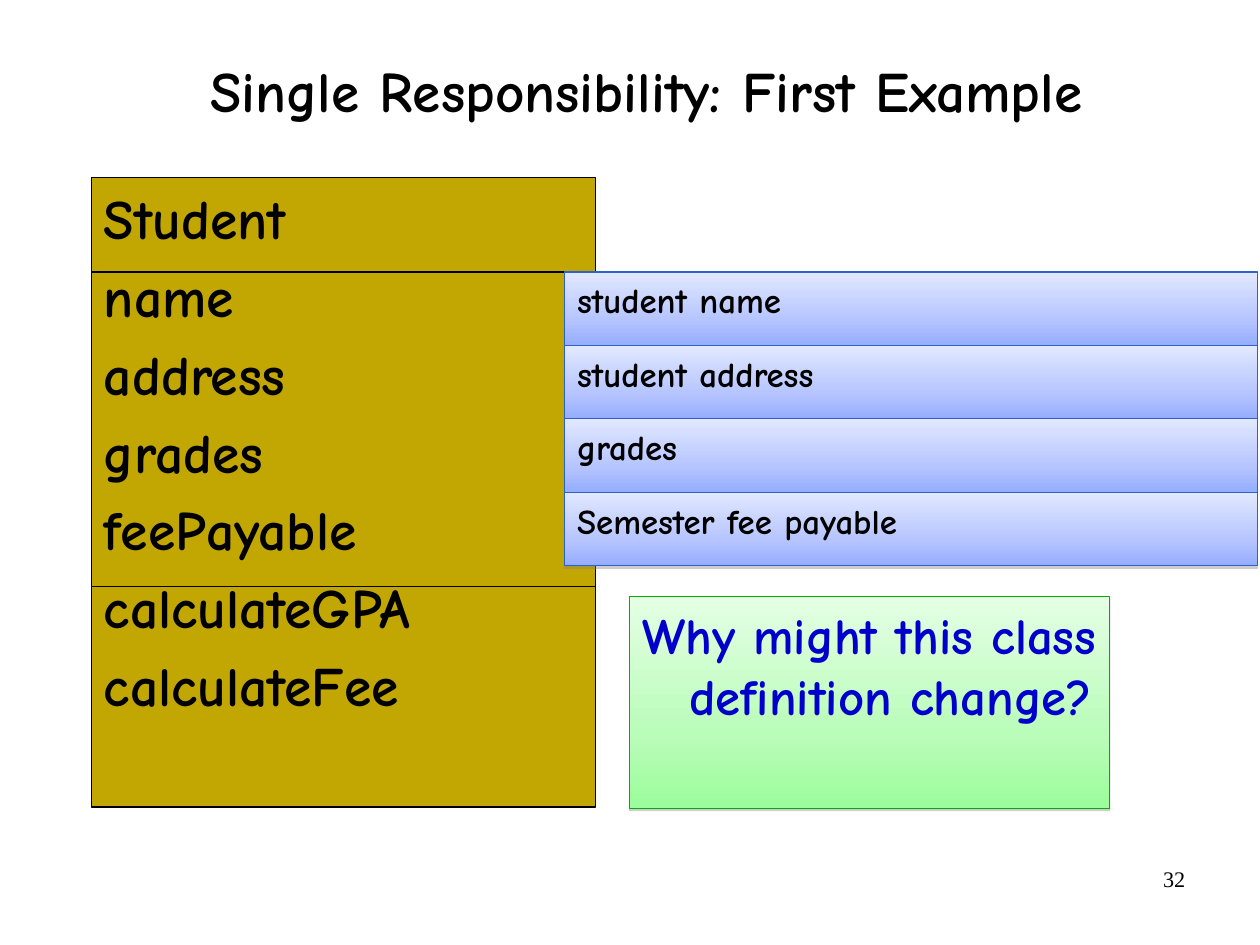
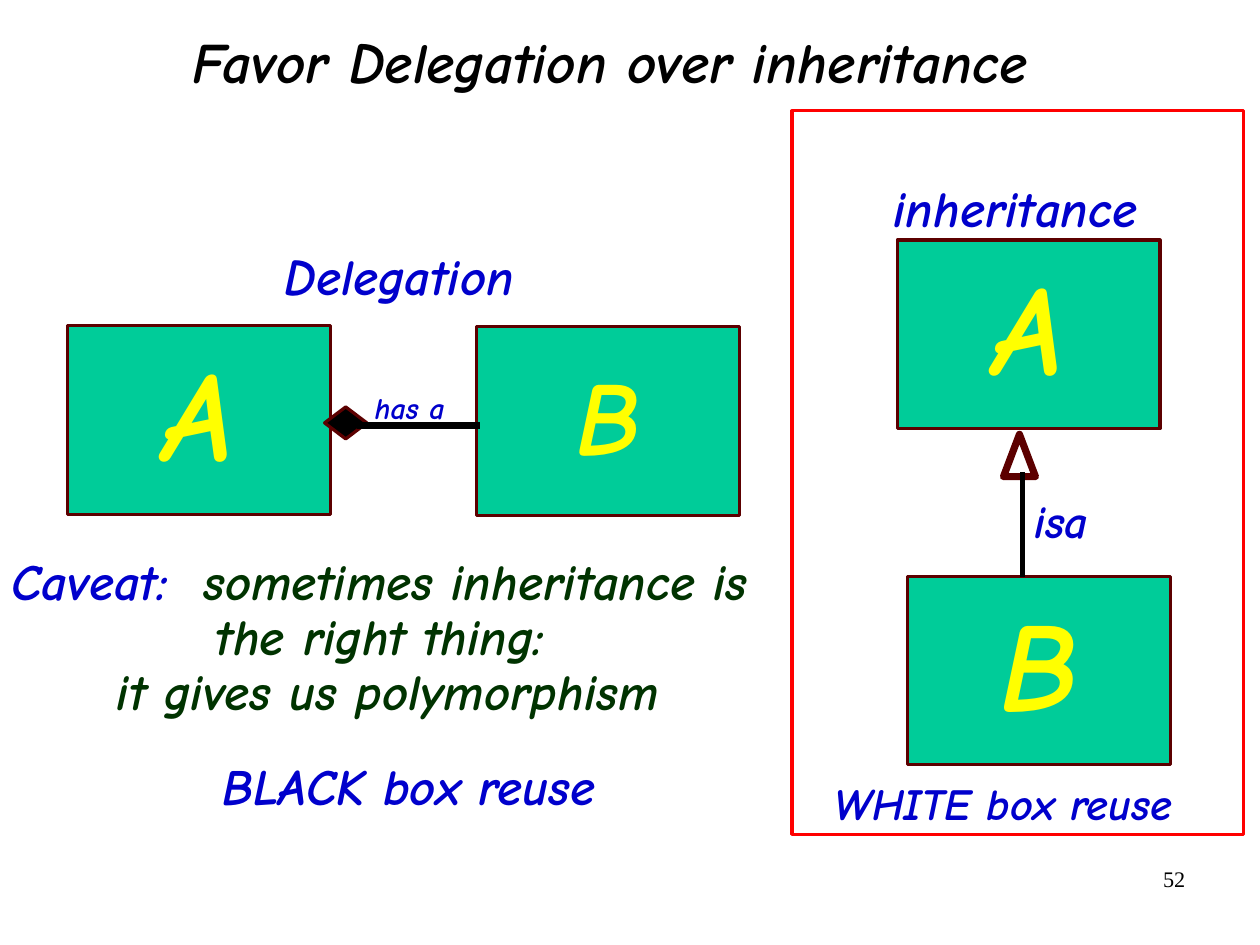
import copy
from dataclasses import dataclass, replace

import pptx
import pptx.dml.color
import pptx.enum.shapes
import pptx.enum.text
import pptx.oxml
import pptx.oxml.ns
import pptx.util

Inches = pptx.util.Inches
Pt = pptx.util.Pt
SHAPE = pptx.enum.shapes.MSO_SHAPE
ALIGN = pptx.enum.text.PP_ALIGN
ANCHOR = pptx.enum.text.MSO_ANCHOR

BLACK, WHITE = "000000", "FFFFFF"
BLUE, DARK_GREEN, YELLOW = "0000CC", "003300", "FFFF00"
GOLD, TEAL, MAROON, RED = "C2A702", "00CC99", "5C0000", "FF0000"
HANGING = 0.41


@dataclass(frozen=True)
class Box:
    left: float
    top: float
    width: float
    height: float


@dataclass(frozen=True)
class Style:
    size: float
    color: str = BLACK
    bold: bool = True
    italic: bool = False
    font: str = "Comic Neue"
    align: ALIGN = ALIGN.CENTER
    anchor: ANCHOR = ANCHOR.TOP
    spacing: float = 0.9
    before: float = 0
    hanging: bool = False
    wrap: bool = False
    side: float = 0.11


@dataclass(frozen=True)
class Gradient:
    stops: tuple[tuple[float, str], ...]
    line: str


@dataclass(frozen=True)
class Run:
    text: str
    color: str


@dataclass(frozen=True)
class Label:
    text: str
    box: Box
    size: float


GREEN_FADE = Gradient(((0, "E4FFE4"), (0.65, "BAFCBA"), (1, "9BFD9B")), "00B000")
BLUE_FADE = Gradient(((0, "E1E8FF"), (0.65, "B6C5FF"), (1, "95ADFF")), "2E62CB")

TITLE = Style(36, anchor=ANCHOR.MIDDLE)
NUMBER = Style(14, bold=False, font="Times New Roman", align=ALIGN.RIGHT,
               spacing=1, wrap=True, side=0.1)
LISTING = Style(35, align=ALIGN.LEFT, spacing=1, before=7, hanging=True, wrap=True)
NOTE = Style(32, BLUE, italic=True)
LETTER = Style(80, YELLOW, italic=True, anchor=ANCHOR.MIDDLE, wrap=True)


def rgb(color: str) -> pptx.dml.color.RGBColor:
    return pptx.dml.color.RGBColor.from_string(color)


def place(box: Box) -> list[int]:
    return [Inches(v) for v in (box.left, box.top, box.width, box.height)]


def indent(p, left: float, first: float = 0) -> None:
    pPr = p._p.get_or_add_pPr()
    pPr.set("marL", str(Inches(left)))
    pPr.set("indent", str(Inches(first)))


def write(sp, paragraphs: list[list[Run]], style: Style) -> None:
    tf = sp.text_frame
    tf.word_wrap = style.wrap
    tf.vertical_anchor = style.anchor
    tf.margin_left = tf.margin_right = Inches(style.side)
    tf.margin_top = tf.margin_bottom = Inches(0.06)
    for i, runs in enumerate(paragraphs):
        p = tf.add_paragraph() if i else tf.paragraphs[0]
        p.alignment = style.align
        p.line_spacing = style.spacing
        if i and style.before:
            p.space_before = Pt(style.before)
        if style.hanging:
            indent(p, HANGING, -HANGING)
        for run in runs:
            r = p.add_run()
            r.text = run.text
            r.font.name = style.font
            r.font.size = Pt(style.size)
            r.font.bold = style.bold
            r.font.italic = style.italic
            r.font.color.rgb = rgb(run.color)


def write_lines(sp, lines: list[str], style: Style) -> None:
    write(sp, [[Run(line, style.color)] for line in lines], style)


def add_text(s, text: str, box: Box, style: Style) -> None:
    write_lines(s.shapes.add_textbox(*place(box)), [text], style)


def add_box(s, box: Box, fill: str | None, line: str, width: float,
            kind: SHAPE = SHAPE.RECTANGLE):
    sp = s.shapes.add_shape(kind, *place(box))
    sp.shadow.inherit = False
    if fill:
        sp.fill.solid()
        sp.fill.fore_color.rgb = rgb(fill)
    else:
        sp.fill.background()
    sp.line.color.rgb = rgb(line)
    sp.line.width = Pt(width)
    return sp


def add_faded_box(s, box: Box, fade: Gradient, text: str, style: Style) -> None:
    sp = add_box(s, box, None, fade.line, 0.75)
    sp.fill.gradient()
    sp.fill.gradient_angle = 270
    spPr = sp._element.spPr
    stops = spPr.find(".//" + pptx.oxml.ns.qn("a:gsLst"))
    stops.append(copy.deepcopy(stops[-1]))
    for stop, (position, color) in zip(sp.fill.gradient_stops, fade.stops):
        stop.position = position
        stop.color.rgb = rgb(color)
    # Thin drop shadow below the box
    spPr.find(pptx.oxml.ns.qn("a:effectLst")).append(pptx.oxml.parse_xml(
        f'<a:outerShdw {pptx.oxml.ns.nsdecls("a")} blurRad="0" dist="{Pt(1.6)}" '
        'dir="5400000" rotWithShape="0"><a:srgbClr val="808080">'
        '<a:alpha val="38000"/></a:srgbClr></a:outerShdw>'))
    write_lines(sp, [text], style)


def add_line(s, x1: float, y1: float, x2: float, y2: float, width: float) -> None:
    c = s.shapes.add_connector(pptx.enum.shapes.MSO_CONNECTOR.STRAIGHT,
                               *[Inches(v) for v in (x1, y1, x2, y2)])
    c.line.color.rgb = rgb(BLACK)
    c.line.width = Pt(width)
    c._element.spPr.append(pptx.oxml.parse_xml(
        f'<a:effectLst {pptx.oxml.ns.nsdecls("a")}/>'))


def new_slide(prs, title: str, title_box: Box, number: str, italic: bool = False):
    s = prs.slides.add_slide(prs.slide_layouts[6])
    add_text(s, title, title_box, replace(TITLE, italic=italic))
    add_text(s, number, Box(7.9, 7.51, 2.57, 0.57), NUMBER)
    return s


def build_responsibility(prs) -> None:
    s = new_slide(prs, "Single Responsibility: First Example",
                  Box(0.61, 0.27, 10.09, 1.1), "32")

    # Class box with its two dividers
    card = Box(0.8, 1.55, 4.41, 5.51)
    write_lines(add_box(s, card, GOLD, BLACK, 0.75),
                ["Student", "name", "address", "grades", "feePayable",
                 "calculateGPA", "calculateFee"], LISTING)
    for y in (2.38, 5.13):
        add_line(s, card.left, y, card.left + card.width, y, 0.75)

    # Question
    add_faded_box(s, Box(5.51, 5.22, 4.2, 1.85), GREEN_FADE,
                  "Why might this class definition change?",
                  replace(LISTING, size=32, color=BLUE))

    # Field descriptions
    fields = ["student name", "student address", "grades", "Semester fee payable"]
    height = 2.57 / len(fields)
    for i, field in enumerate(fields):
        add_faded_box(s, Box(4.94, 2.38 + i * height, 6.06, height), BLUE_FADE,
                      field, replace(LISTING, size=22))


def build_delegation(prs) -> None:
    s = new_slide(prs, "Favor Delegation over inheritance",
                  Box(1.1, 0.24, 8.47, 0.66), "52", italic=True)

    # Class boxes
    for letter, left, top, size in (("A", 0.59, 2.85, 80), ("B", 4.17, 2.86, 66),
                                    ("A", 7.85, 2.1, 80), ("B", 7.94, 5.04, 80)):
        sp = add_box(s, Box(left, top, 2.3, 1.65), TEAL, MAROON, 2)
        write_lines(sp, [letter], replace(LETTER, size=size))

    # Has-a and is-a links
    add_box(s, Box(2.84, 3.56, 0.37, 0.28), BLACK, MAROON, 2, SHAPE.DIAMOND)
    add_line(s, 3.12, 3.72, 4.2, 3.72, 4.5)
    add_box(s, Box(8.78, 3.8, 0.28, 0.37), WHITE, MAROON, 4.5,
            SHAPE.ISOSCELES_TRIANGLE)
    add_line(s, 8.95, 4.13, 8.95, 5.05, 3)

    # Labels
    for label in (Label("inheritance", Box(7.59, 1.55, 2.59, 0.59), 32),
                  Label("Delegation", Box(2.26, 2.14, 2.47, 0.6), 32),
                  Label("has a", Box(3.13, 3.38, 0.91, 0.4), 19),
                  Label("isa", Box(8.91, 4.3, 0.75, 0.55), 29),
                  Label("BLACK box reuse", Box(1.6, 6.6, 3.96, 0.6), 32),
                  Label("WHITE box reuse", Box(6.93, 6.78, 3.7, 0.53), 28)):
        add_text(s, label.text, label.box, replace(NOTE, size=label.size))

    # Frame around the inheritance side
    add_box(s, Box(6.93, 0.97, 3.95, 6.33), None, RED, 2)

    # Caveat, its last line set slightly to the right
    sp = s.shapes.add_textbox(*place(Box(0, 4.81, 6.65, 1.55)))
    write(sp, [[Run("Caveat:  ", BLUE),
                Run("sometimes inheritance is the right thing:", DARK_GREEN)],
               [Run("it gives us polymorphism", DARK_GREEN)]],
          replace(NOTE, wrap=True, side=0))
    indent(sp.text_frame.paragraphs[-1], 0.14)


def main() -> None:
    prs = pptx.Presentation()
    prs.slide_width, prs.slide_height = Pt(793.75), Pt(595.25)
    build_responsibility(prs)
    build_delegation(prs)
    prs.save("out.pptx")


if __name__ == "__main__":
    main()
